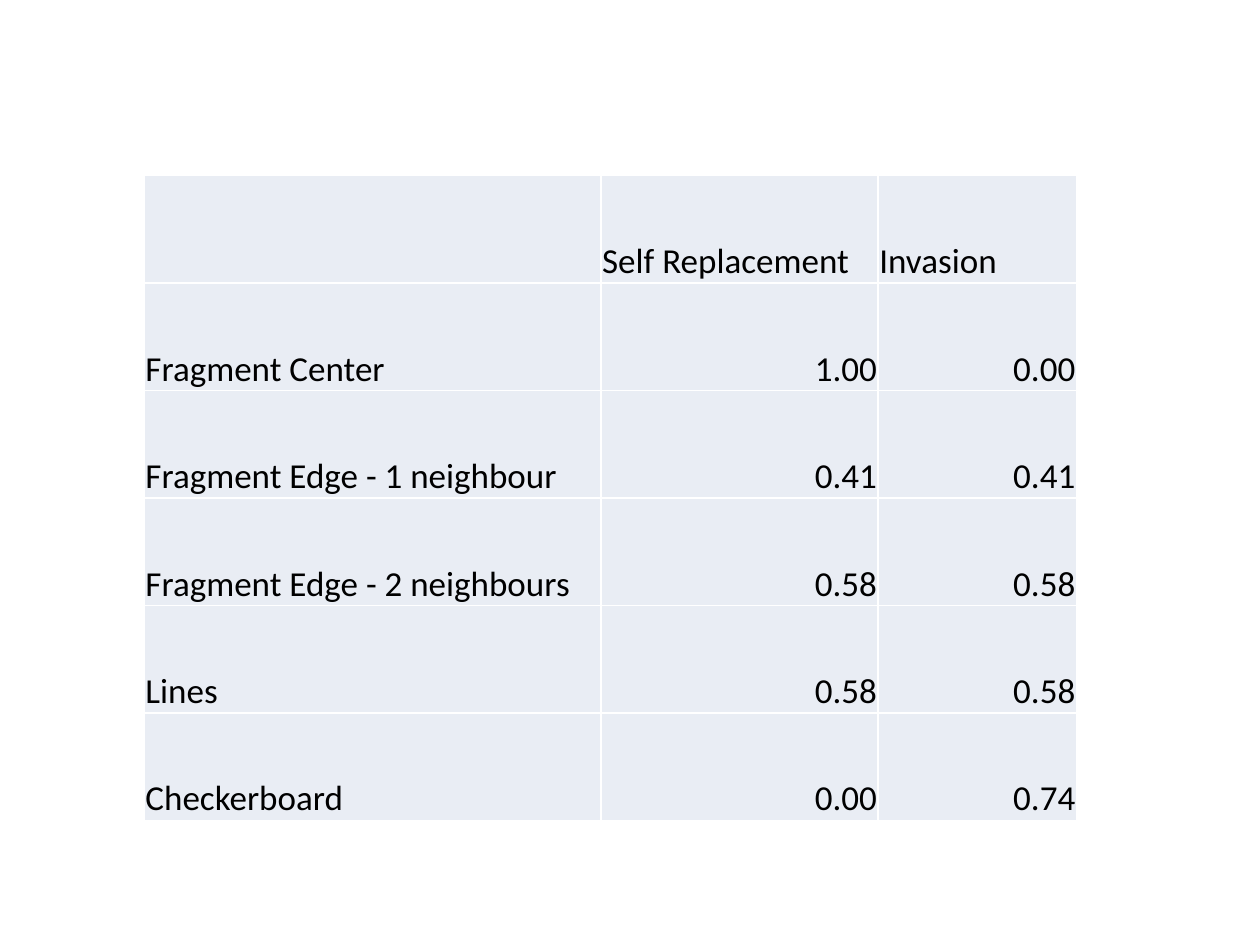
from lxml.etree import SubElement
from pptx import Presentation
from pptx.dml.color import RGBColor
from pptx.enum.text import MSO_ANCHOR, PP_ALIGN
from pptx.oxml.ns import qn
from pptx.util import Pt

COLOURS = {"cell": "E9EDF4", "border": "FFFFFF", "text": "000000"}


class SlideBuilder:
    font_format = {"name": "Calibri", "size": Pt(20), "bold": False}
    cell_format = {
        "vertical_anchor": MSO_ANCHOR.BOTTOM,
        "margin_left": Pt(0.72),
        "margin_right": Pt(0.72),
        "margin_top": Pt(0.72),
        "margin_bottom": Pt(0),
    }
    table_format = {"first_row": False, "horz_banding": False}

    def __init__(self, slide):
        self.slide = slide

    def apply(self, target, values):
        for name, value in values.items():
            setattr(target, name, value)

    def borders(self, cell):
        properties = cell._tc.get_or_add_tcPr()
        for side in ("lnL", "lnR", "lnT", "lnB"):
            line = SubElement(properties, qn(f"a:{side}"), w=str(Pt(1)))
            fill = SubElement(line, qn("a:solidFill"))
            SubElement(fill, qn("a:srgbClr"), val=COLOURS["border"])

    def cell(self, cell, text, align):
        self.apply(cell, self.cell_format)
        self.borders(cell)
        cell.fill.solid()
        cell.fill.fore_color.rgb = RGBColor.from_string(COLOURS["cell"])
        cell.text = text
        paragraph = cell.text_frame.paragraphs[0]
        paragraph.alignment = align
        self.apply(paragraph.font, self.font_format)
        for run in paragraph.runs:
            self.apply(run.font, self.font_format)
            run.font.color.rgb = RGBColor.from_string(COLOURS["text"])

    def table(self, left, top, widths, row_height, rows):
        table = self.slide.shapes.add_table(
            len(rows), len(widths), Pt(left), Pt(top),
            Pt(sum(widths)), Pt(row_height * len(rows)),
        ).table
        self.apply(table, self.table_format)
        for column, width in zip(table.columns, widths):
            column.width = Pt(width)
        for r, values in enumerate(rows):
            table.rows[r].height = Pt(row_height)
            for c, text in enumerate(values):
                align = PP_ALIGN.RIGHT if r and c else PP_ALIGN.LEFT
                self.cell(table.cell(r, c), text, align)


deck = Presentation()
deck.slide_width, deck.slide_height = Pt(720), Pt(540)
builder = SlideBuilder(deck.slides.add_slide(deck.slide_layouts[6]))

replacement_rates = [
    ("", "Self Replacement", "Invasion"),
    ("Fragment Center", "1.00", "0.00"),
    ("Fragment Edge - 1 neighbour", "0.41", "0.41"),
    ("Fragment Edge - 2 neighbours", "0.58", "0.58"),
    ("Lines", "0.58", "0.58"),
    ("Checkerboard", "0.00", "0.74"),
]
builder.table(82.4, 100.4, (261, 158.4, 113.4), 61.4, replacement_rates)

deck.save("out.pptx")
